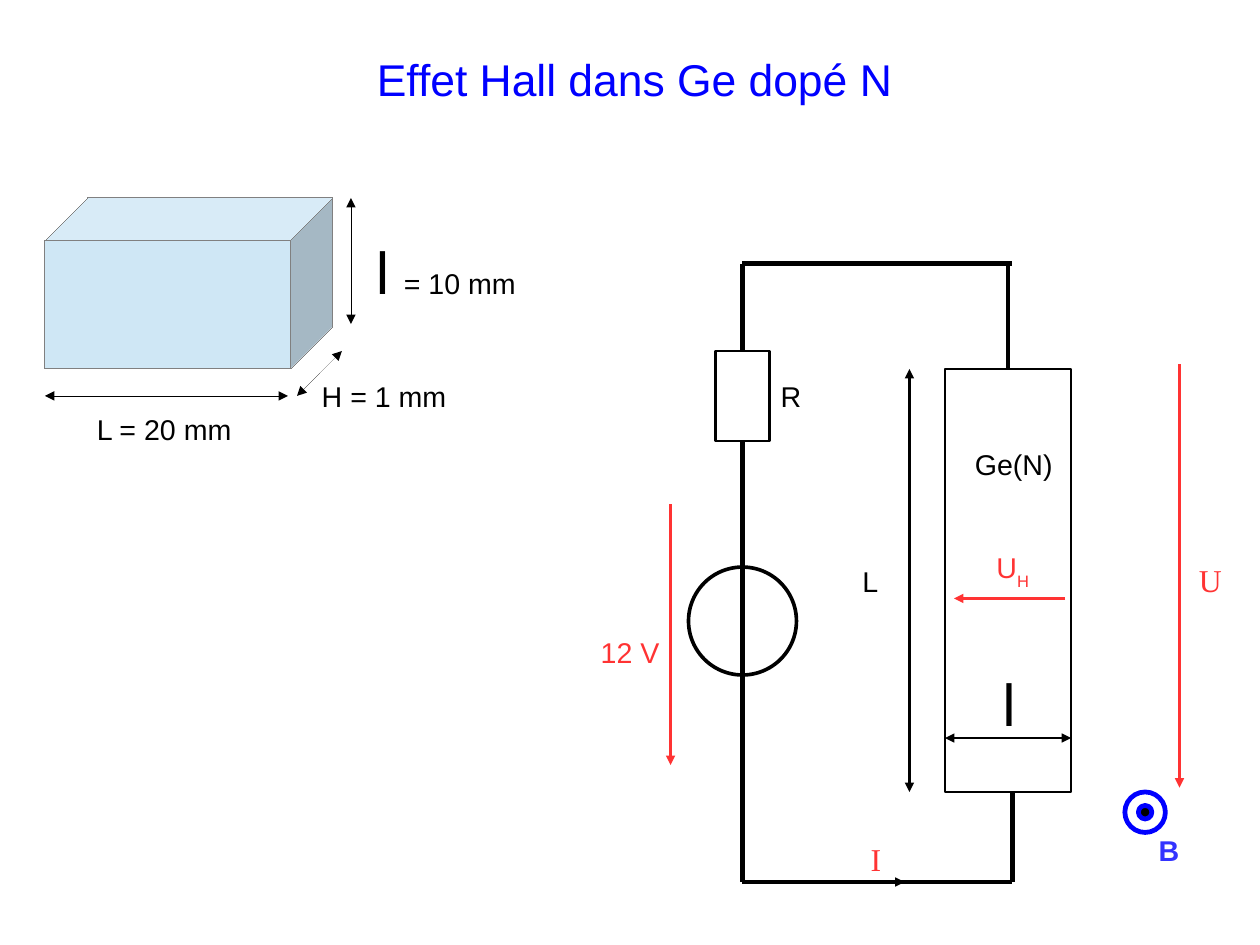
from dataclasses import dataclass

from lxml import etree
from pptx import Presentation
from pptx.dml.color import RGBColor
from pptx.enum.shapes import MSO_CONNECTOR, MSO_SHAPE
from pptx.enum.text import MSO_ANCHOR, PP_ALIGN
from pptx.oxml.ns import qn
from pptx.util import Pt

CUBE, RECT, OVAL = MSO_SHAPE.CUBE, MSO_SHAPE.RECTANGLE, MSO_SHAPE.OVAL
STRAIGHT = MSO_CONNECTOR.STRAIGHT
LEFT, CENTER = PP_ALIGN.LEFT, PP_ALIGN.CENTER
TOP, MIDDLE = MSO_ANCHOR.TOP, MSO_ANCHOR.MIDDLE
COLORS = {
    "black": "000000", "white": "FFFFFF", "gray": "808080", "ice": "CFE7F5",
    "blue": "0000FF", "violet": "3333FF", "red": "FF3333",
}
SANS, SERIF, SYMBOL = "Arial", "Times New Roman", "Roboto"


@dataclass
class Body:
    kind: int
    left: float
    top: float
    width: float
    height: float
    fill: str | None
    line: str = "black"
    weight: float = 1.5


@dataclass
class Line:
    x1: float
    y1: float
    x2: float
    y2: float
    weight: float = 3
    color: str = "black"
    ends: tuple[str, ...] = ()


@dataclass
class Run:
    text: str
    size: float = 18
    font: str = SANS
    base: int = 0


@dataclass
class Label:
    left: float
    top: float
    width: float
    runs: tuple[Run, ...]
    color: str = "black"
    bold: bool = False


TAIL = ("tailEnd",)
BOTH = ("headEnd", "tailEnd")
WIRE_X, WIRE_TOP, WIRE_END = 467.7, 166.1, 555.6
GE_LEFT, GE_TOP, GE_WIDTH, GE_TALL = 595.3, 232.4, 79.4, 266.5
GE_END = GE_TOP + GE_TALL

BODIES = [
    Body(CUBE, 28.3, 124.7, 181.4, 107.7, "ice", "gray", 0),
    Body(RECT, GE_LEFT, GE_TOP, GE_WIDTH, GE_TALL, None),
    Body(OVAL, 708.6, 498.9, 25.5, 25.5, "white", "blue", 3),
    Body(OVAL, 717.1, 507.4, 8.5, 8.5, "black", "blue", 3),
    Body(OVAL, 433.7, 357.2, 68, 68, "white", weight=2.3),
]
WIRES = [
    Line(WIRE_X, WIRE_TOP, WIRE_X, WIRE_END),
    Line(WIRE_X, WIRE_END, 637.8, WIRE_END),
    Line(WIRE_X, WIRE_TOP, 637.8, WIRE_TOP),
    Line(635, WIRE_TOP, 635, GE_TOP),
    Line(637.8, GE_END, 637.8, WIRE_END),
]
RESISTOR = Body(RECT, 450.7, 221.1, 34, 56.7, "white")
ARROWS = [
    Line(28.3, 249.4, 181.4, 249.4, 0, ends=BOTH),
    Line(215.4, 221.1, 187.1, 249.4, 0, ends=BOTH),
    Line(221.1, 124.7, 221.1, 204.1, 0, ends=BOTH),
    Line(GE_LEFT, 464.9, GE_LEFT + GE_WIDTH, 464.9, 1.5, ends=BOTH),
    Line(572.9, GE_TOP, 572.9, GE_END, 1.5, ends=BOTH),
    Line(743, 229.6, 743, 496.1, 1.5, "red", TAIL),
    Line(671, 377, 601, 377, 1.5, "red", TAIL),
    Line(422.4, 317.5, 422.4, 481.9, 1.5, "red", TAIL),
    Line(513.1, WIRE_END, 569.8, WIRE_END, 0, ends=TAIL),
]
LABELS = [
    Label(195.6, 235.2, 96.5, (Run("H = 1 mm"),)),
    Label(229.6, 146.2, 153.4, (Run("l ", 36, SYMBOL), Run("= 10 mm"))),
    Label(53.9, 256.1, 105.1, (Run("L = 20 mm"),)),
    Label(624.2, 418.3, 28.3, (Run("l", 36, SYMBOL),)),
    Label(536.2, 351.4, 34, (Run("L"),)),
    Label(541.4, 525.6, 22.3, (Run("I", 20, SERIF),), "red"),
    Label(722.8, 521.3, 28.3, (Run("B"),), "violet", True),
    Label(748.1, 349.9, 28.3, (Run("U", 20, SERIF),), "red"),
    Label(620.6, 342.7, 37.4, (Run("U"), Run("H", base=-33000)), "red"),
    Label(484.7, 235.2, 28.3, (Run("R"),)),
    Label(607, 277.8, 68, (Run("Ge(N)"),)),
    Label(371.3, 396.7, 56.7, (Run("12 V"),), "red"),
]


def tint(name: str) -> RGBColor:
    return RGBColor.from_string(COLORS[name])


def set_line(shape, color: str, weight: float):
    """Set the stroke, writing the width even when it is a hairline."""
    shape.line.color.rgb = tint(color)
    stroke = shape.line._get_or_add_ln()
    stroke.set("w", str(Pt(weight)))
    return stroke


def add_body(slide, body: Body) -> None:
    shape = slide.shapes.add_shape(
        body.kind, Pt(body.left), Pt(body.top), Pt(body.width), Pt(body.height))
    shape.shadow.inherit = False
    if body.fill:
        shape.fill.solid()
        shape.fill.fore_color.rgb = tint(body.fill)
    else:
        shape.fill.background()
    set_line(shape, body.line, body.weight)


def add_line(slide, line: Line) -> None:
    wire = slide.shapes.add_connector(
        STRAIGHT, Pt(line.x1), Pt(line.y1), Pt(line.x2), Pt(line.y2))
    stroke = set_line(wire, line.color, line.weight)
    for end in line.ends:
        etree.SubElement(stroke, qn(f"a:{end}"), type="triangle")
    etree.SubElement(wire._element.spPr, qn("a:effectLst"))


def add_text(slide, runs: tuple[Run, ...], left: float, top: float,
             width: float, height: float, *, color: str = "black",
             bold: bool = False, align=LEFT, anchor=TOP,
             pad: tuple[float, float] = (7.2, 3.6)) -> None:
    frame = slide.shapes.add_textbox(
        Pt(left), Pt(top), Pt(width), Pt(height)).text_frame
    frame.word_wrap = True
    frame.vertical_anchor = anchor
    frame.margin_left = frame.margin_right = Pt(pad[0])
    frame.margin_top = frame.margin_bottom = Pt(pad[1])
    para = frame.paragraphs[0]
    para.alignment = align
    for item in runs:
        run = para.add_run()
        run.text = item.text
        run.font.size = Pt(item.size)
        run.font.name = item.font
        run.font.bold = bold
        run.font.color.rgb = tint(color)
        if item.base:
            run._r.get_or_add_rPr().set("baseline", str(item.base))


def main() -> None:
    deck = Presentation()
    deck.slide_width, deck.slide_height = Pt(793.7), Pt(595.28)
    slide = deck.slides.add_slide(deck.slide_layouts[6])
    add_text(slide, (Run("Effet Hall dans Ge dopé N", 28),),
             42.5, 14.4, 714.2, 70.6, color="blue",
             align=CENTER, anchor=MIDDLE, pad=(0, 0))
    for body in BODIES:
        add_body(slide, body)
    for wire in WIRES:
        add_line(slide, wire)
    add_body(slide, RESISTOR)
    for arrow in ARROWS:
        add_line(slide, arrow)
    for label in LABELS:
        tall = 1.15 * max(run.size for run in label.runs) + 7.2
        add_text(slide, label.runs, label.left, label.top, label.width, tall,
                 color=label.color, bold=label.bold)
    deck.save("out.pptx")


if __name__ == "__main__":
    main()
